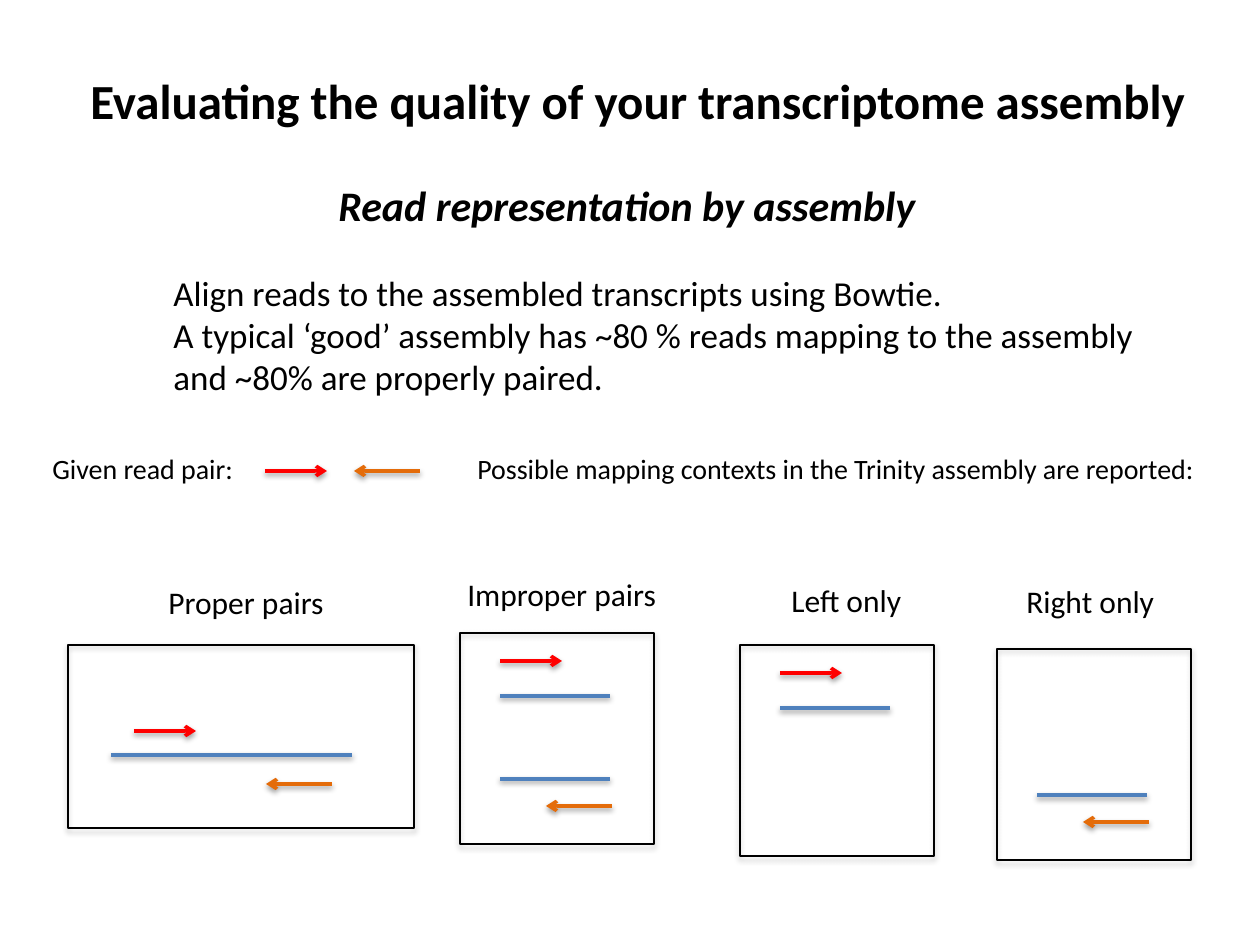
from lxml.etree import SubElement
from pptx import Presentation
from pptx.dml.color import RGBColor
from pptx.enum.shapes import MSO_CONNECTOR, MSO_SHAPE
from pptx.oxml.ns import qn
from pptx.util import Pt

PX = 914400 / 126
BLACK = RGBColor(0x00, 0x00, 0x00)
RED = RGBColor(0xFF, 0x00, 0x00)
ORANGE = RGBColor(0xE4, 0x6C, 0x0A)
BLUE = RGBColor(0x4F, 0x81, 0xBD)

# (left, top, width, height), size, bold, italic, paragraphs
TEXTS = [
    ((78, 64, 1137, 72), 28, True, False,
     ["Evaluating the quality of your transcriptome assembly"]),
    ((326, 173, 620, 63), 24, True, True, ["Read representation by assembly"]),
    ((161, 265, 995, 140), 20, False, False, [
        "Align reads to the assembled transcripts using Bowtie.",
        "A typical ‘good’ assembly has ~80 % reads mapping to the assembly",
        "and ~80% are properly paired.",
    ]),
    ((40, 445, 209, 47), 16, False, False, ["Given read pair:"]),
    ((465, 445, 755, 47), 16, False, False,
     ["Possible mapping contexts in the Trinity assembly are reported:"]),
]

# Marks: name -> colour, signed length, has arrowhead
MARKS = {
    "left read": (RED, 62, True),
    "right read": (ORANGE, -66, True),
    "transcript": (BLUE, 110, False),
    "long transcript": (BLUE, 241, False),
}
GIVEN_PAIR = [("left read", 265, 471), ("right read", 420, 471)]

# Mark starts are measured from the panel's top left corner
LEFT_MAPPING = [("transcript", 40, 63), ("left read", 40, 28)]
RIGHT_MAPPING = [("transcript", 40, 146), ("right read", 152, 173)]
PROPER_MAPPING = [("long transcript", 43, 110), ("left read", 66, 86),
                  ("right read", 264, 139)]
SMALL = (194, 211)
# label, label box, panel corner, panel size, marks
CONTEXTS = [
    ("Proper pairs", (156, 577, 184, 51), (68, 645), (346, 183), PROPER_MAPPING),
    ("Improper pairs", (455, 569, 216, 51), (460, 633), SMALL,
     LEFT_MAPPING + RIGHT_MAPPING),
    ("Left only", (779, 575, 138, 51), (740, 645), SMALL, LEFT_MAPPING),
    ("Right only", (1014, 576, 155, 51), (997, 649), SMALL, RIGHT_MAPPING),
]


def emu(*lengths):
    return [round(length * PX) for length in lengths]


def add_shadow(shape, distance, alpha):
    effects = SubElement(shape._element.spPr, qn("a:effectLst"))
    shadow = SubElement(effects, qn("a:outerShdw"), blurRad="40000",
                        dist=str(distance), dir="5400000", rotWithShape="0")
    color = SubElement(shadow, qn("a:srgbClr"), val="000000")
    SubElement(color, qn("a:alpha"), val=str(alpha))


def add_text(slide, place, size, bold, italic, lines):
    frame = slide.shapes.add_textbox(*emu(*place)).text_frame
    frame.word_wrap = False
    for index, line in enumerate(lines):
        para = frame.add_paragraph() if index else frame.paragraphs[0]
        para.text = line
        font = para.font
        font.name, font.size = "Calibri", Pt(size)
        font.bold, font.italic = bold, italic
        font.color.rgb = BLACK


def add_marks(slide, marks, left=0, top=0):
    for name, x, y in marks:
        color, length, has_head = MARKS[name]
        start, level = left + x, top + y
        mark = slide.shapes.add_connector(
            MSO_CONNECTOR.STRAIGHT, *emu(start, level, start + length, level))
        mark.line.color.rgb = color
        mark.line.width = Pt(2)
        if has_head:
            SubElement(mark.line._get_or_add_ln(), qn("a:tailEnd"), type="arrow")
        add_shadow(mark, 20000, 38000)


def add_panel(slide, corner, size):
    panel = slide.shapes.add_shape(MSO_SHAPE.RECTANGLE, *emu(*corner, *size))
    panel.fill.background()
    panel.line.color.rgb = BLACK
    panel.line.width = Pt(0.75)
    add_shadow(panel, 23000, 35000)


def main():
    deck = Presentation()
    deck.slide_width, deck.slide_height = emu(1260, 945)
    slide = deck.slides.add_slide(deck.slide_layouts[6])
    for text in TEXTS:
        add_text(slide, *text)
    add_marks(slide, GIVEN_PAIR)
    for label, place, corner, size, marks in CONTEXTS:
        add_text(slide, place, 18, False, False, [label])
        add_marks(slide, marks, *corner)
        add_panel(slide, corner, size)
    deck.save("out.pptx")


if __name__ == "__main__":
    main()
